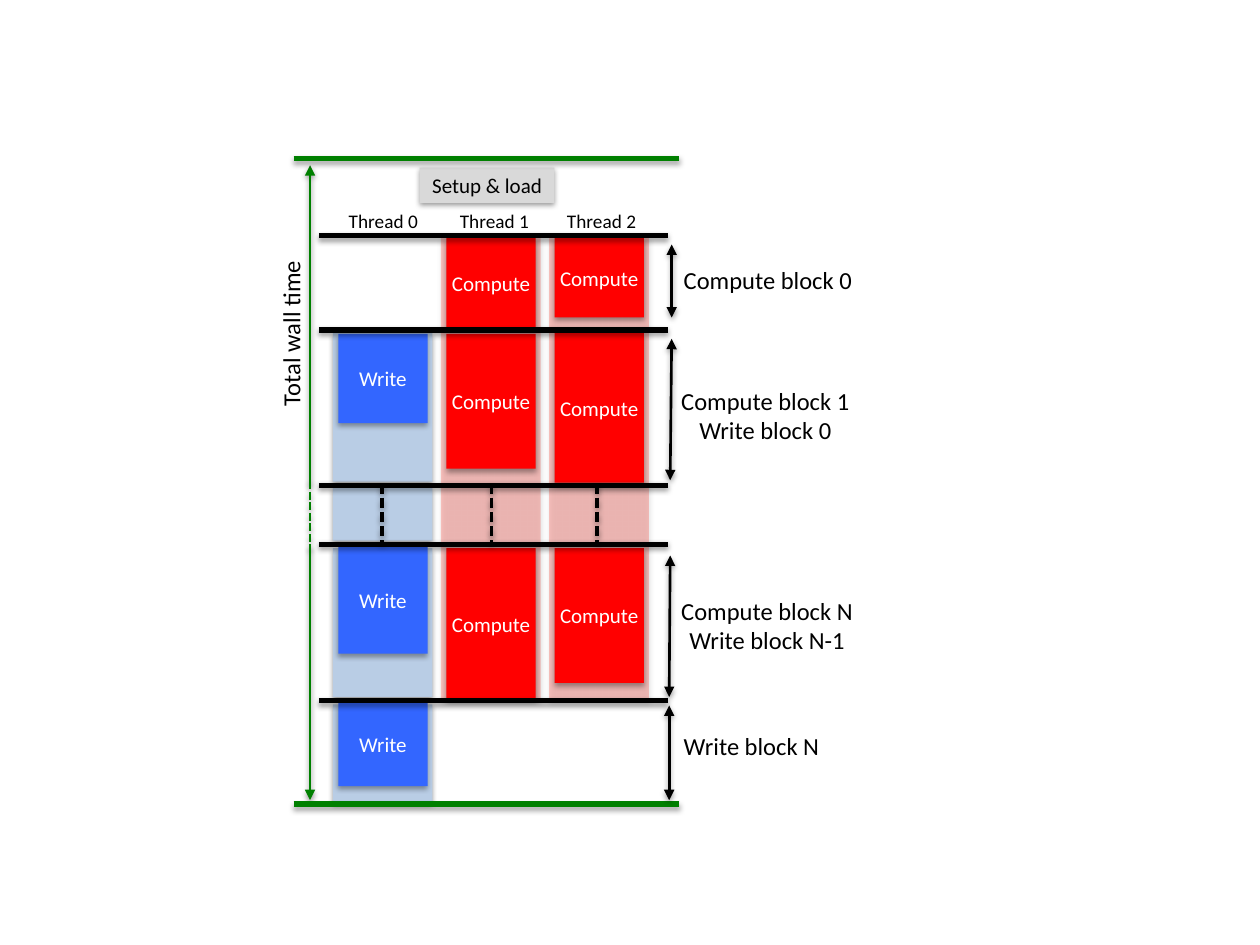
"""Build a timing diagram of compute and write threads."""
from lxml.etree import SubElement
from pptx import Presentation
from pptx.dml.color import RGBColor
from pptx.enum.dml import MSO_LINE as DASH
from pptx.enum.shapes import MSO_CONNECTOR as CONN, MSO_SHAPE as SHAPE
from pptx.enum.text import MSO_ANCHOR as ANCHOR, MSO_AUTO_SIZE as AUTO, PP_ALIGN as ALIGN
from pptx.oxml.ns import qn
from pptx.util import Cm, Pt

COLORS = {
    "black": "000000", "white": "FFFFFF", "gray": "D9D9D9", "green": "008000",
    "blue": "3366FF", "pale_blue": "B9CDE5", "red": "FF0000", "pale_red": "FF4B40",
}


def color(name):
    return RGBColor.from_string(COLORS[name])


def write_text(tf, text, size=14, fill="black", align=ALIGN.CENTER, font="Calibri"):
    for i, line in enumerate(text.split("\n")):
        p = tf.paragraphs[0] if i == 0 else tf.add_paragraph()
        p.alignment = align
        r = p.add_run()
        r.text = line
        r.font.name, r.font.size = font, Pt(size)
        r.font.color.rgb = color(fill)


class Diagram:
    def __init__(self, prs):
        self.s = prs.slides.add_slide(prs.slide_layouts[6])

    def shadow(self, sp, alpha=38, dist=1.6):
        effects = SubElement(sp._element.spPr, qn("a:effectLst"))
        outer = SubElement(effects, qn("a:outerShdw"), blurRad=str(Pt(3.1)),
                           dist=str(Pt(dist)), dir="5400000", rotWithShape="0")
        clr = SubElement(outer, qn("a:srgbClr"), val=COLORS["black"])
        SubElement(clr, qn("a:alpha"), val=str(alpha * 1000))

    def box(self, x, y, w, h, fill, text="", ink="white", opacity=None, inset=0.25, **shade):
        sp = self.s.shapes.add_shape(SHAPE.RECTANGLE, Cm(x), Cm(y), Cm(w), Cm(h))
        sp.fill.solid()
        sp.fill.fore_color.rgb = color(fill)
        sp.line.fill.background()
        if opacity:
            clr = sp._element.spPr.find(qn("a:solidFill")).find(qn("a:srgbClr"))
            SubElement(clr, qn("a:alpha"), val=str(opacity * 1000))
        self.shadow(sp, **shade)
        if text:
            tf = sp.text_frame
            tf.vertical_anchor = ANCHOR.MIDDLE
            tf.margin_left = tf.margin_right = Cm(inset)
            write_text(tf, text, size=12, fill=ink)

    def label(self, x, y, w, h, text, rotation=0, **fmt):
        sp = self.s.shapes.add_textbox(Cm(x), Cm(y), Cm(w), Cm(h))
        sp.rotation = rotation
        sp.text_frame.word_wrap = False
        sp.text_frame.auto_size = AUTO.SHAPE_TO_FIT_TEXT
        write_text(sp.text_frame, text, **fmt)

    def line(self, x1, y1, x2, y2, stroke="black", width=3, dash=None, ends=(), **shade):
        c = self.s.shapes.add_connector(CONN.STRAIGHT, Cm(x1), Cm(y1), Cm(x2), Cm(y2))
        c.line.color.rgb = color(stroke)
        c.line.width = Pt(width)
        if dash:
            c.line.dash_style = dash
        for end in ends:
            SubElement(c.line._get_or_add_ln(), qn(f"a:{end}"), type="triangle")
        self.shadow(c, **shade)


prs = Presentation()
prs.slide_width, prs.slide_height = Cm(25.4), Cm(19.05)
d = Diagram(prs)
DEEP = {"alpha": 35, "dist": 1.8}
BOTH = ("headEnd", "tailEnd")
BAND_X = [6.71 + 2.18 * i for i in range(3)]

d.box(8.46, 3.38, 2.72, 0.71, "gray", "Setup & load", ink="black")
for y, h in [(6.71, 3), (9.83, 1.07), (11.05, 3), (14.2, 1.98)]:
    d.box(BAND_X[0], y, 2.01, h, "pale_blue")
for x in BAND_X[1:]:
    d.box(x, 4.78, 2.01, 9.35, "pale_red", opacity=30)

threads = [
    ("Write", "blue", 0.25, [(6.73, 1.8), (11.02, 2.16), (14.17, 1.68)]),
    ("Compute", "red", 0, [(4.8, 1.8), (6.73, 2.72), (11.05, 3.05)]),
    ("Compute", "red", 0, [(4.8, 1.6), (6.71, 3.02), (11.05, 2.72)]),
]
for x, (task, fill, inset, blocks) in zip(BAND_X, threads):
    for y, h in blocks:
        d.box(x + 0.11, y, 1.8, h, fill, task, inset=inset, **DEEP)

for i, (label_x, dash_x) in enumerate([(6.78, 7.7), (9.02, 9.91), (11.18, 12.04)]):
    d.label(label_x, 4.09, 1.93, 0.74, f"Thread {i}", size=11, align=ALIGN.LEFT)
    d.line(dash_x, 9.75, dash_x, 10.95, width=2, dash=DASH.SQUARE_DOT)

d.label(4.11, 6.25, 3.51, 0.86, "Total wall time", rotation=270, align=ALIGN.LEFT)
for y1, y2, dash, ends in [(3.33, 9.73, None, ["headEnd"]),
                           (9.7, 11.07, DASH.SQUARE_DOT, []),
                           (11, 16.13, None, ["tailEnd"])]:
    d.line(6.25, y1, 6.25, y2, "green", 1.5, dash, ends)
for y in (3.2, 16.21):
    d.line(5.92, y, 13.69, y, "green", **DEEP)
for y in (4.75, 6.65, 9.78, 10.97, 14.12):
    d.line(6.43, y, 13.46, y)

for x1, y1, x2, y2 in [(13.54, 6.4, 13.54, 4.93), (13.51, 9.68, 13.54, 6.83),
                       (13.49, 14.05, 13.51, 11.2), (13.49, 16.13, 13.49, 14.22)]:
    d.line(x1, y1, x2, y2, width=1.5, ends=BOTH)
for x, y, w, h, text in [(13.51, 5.21, 3.94, 0.86, "Compute block 0"),
                         (13.46, 7.65, 3.94, 1.45, "Compute block 1\nWrite block 0"),
                         (13.46, 11.89, 4.01, 1.45, "Compute block N\nWrite block N-1"),
                         (13.51, 14.61, 3.28, 0.86, "Write block N")]:
    d.label(x, y, w, h, text)

prs.save("out.pptx")
